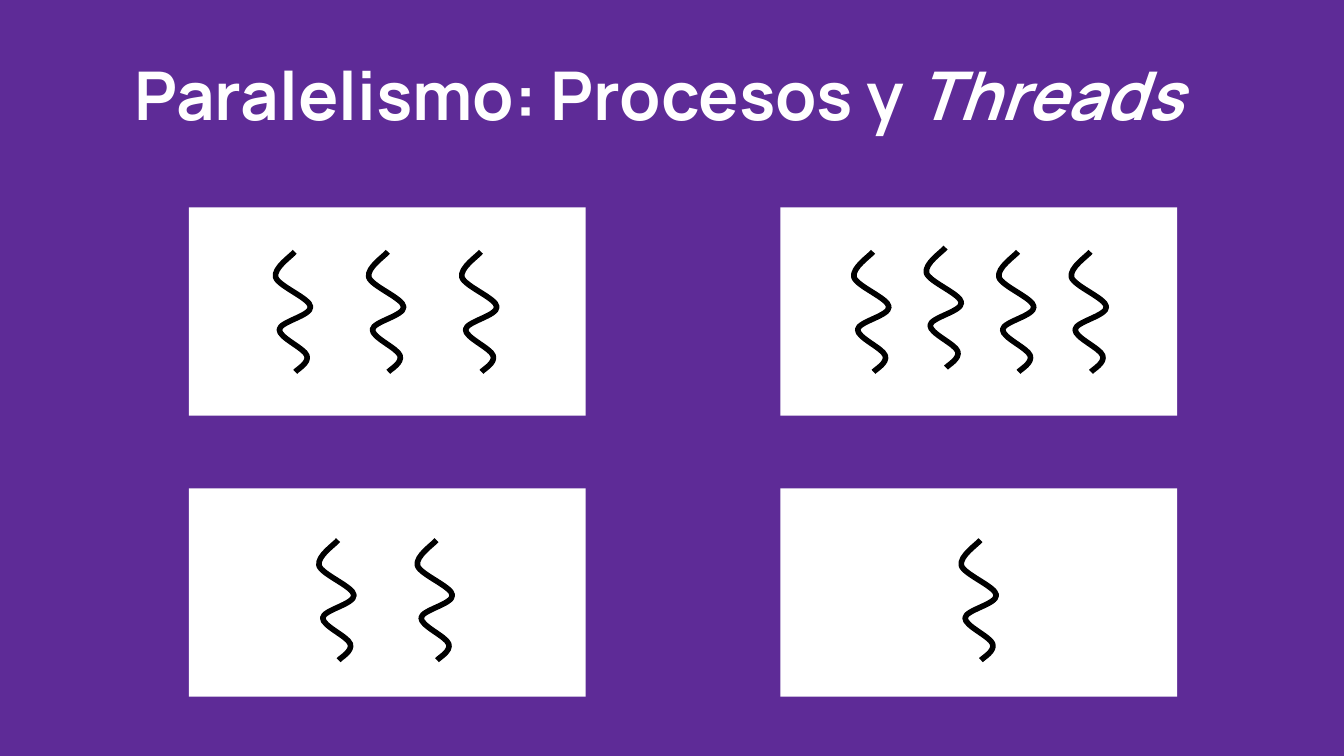
from dataclasses import dataclass

from lxml import etree
from pptx import Presentation
from pptx.dml.color import RGBColor
from pptx.enum.shapes import MSO_SHAPE
from pptx.enum.text import MSO_ANCHOR
from pptx.oxml.ns import qn
from pptx.slide import Slide
from pptx.util import Cm, Pt

RECTANGLE = MSO_SHAPE.RECTANGLE
MIDDLE = MSO_ANCHOR.MIDDLE
PURPLE = RGBColor(0x5E, 0x2B, 0x97)
WHITE = RGBColor(0xFF, 0xFF, 0xFF)
BLACK = RGBColor(0x00, 0x00, 0x00)

Point = tuple[int, int]

PROCESS_WIDTH, PROCESS_HEIGHT = 7.5, 3.94
LEFT_COLUMN, RIGHT_COLUMN = 3.57, 14.75
TOP_ROW, BOTTOM_ROW = 3.92, 9.23
TOP_THREADS, BOTTOM_THREADS = 4.76, 10.21
RAISE = 0.08
THREAD_UNIT = Cm(0.01)


@dataclass(frozen=True)
class Bend:
    """One cubic curve of a thread, in thread units from its upper end."""

    control_1: Point
    control_2: Point
    end: Point


@dataclass(frozen=True)
class Process:
    """A process box and the row of threads inside it, in centimetres."""

    left: float
    top: float
    first_thread: float
    thread_top: float
    thread_count: int
    thread_gap: float = 0
    raised_thread: int | None = None


THREAD_BENDS = [
    Bend((-6, 8), (-40, 30), (-36, 48)),
    Bend((-31, 65), (29, 88), (30, 104)),
    Bend((31, 121), (-28, 132), (-29, 147)),
    Bend((-30, 162), (18, 182), (23, 196)),
    Bend((28, 210), (5, 222), (1, 227)),
]
PROCESSES = [
    Process(LEFT_COLUMN, TOP_ROW, 5.57, TOP_THREADS, 3, 1.76),
    Process(RIGHT_COLUMN, TOP_ROW, 16.5, TOP_THREADS, 4, 1.37, raised_thread=1),
    Process(LEFT_COLUMN, BOTTOM_ROW, 6.39, BOTTOM_THREADS, 2, 1.86),
    Process(RIGHT_COLUMN, BOTTOM_ROW, 18.53, BOTTOM_THREADS, 1),
]


def draw_thread(slide: Slide, left: float, top: float) -> None:
    """Draw one wavy thread from its upper end."""
    builder = slide.shapes.build_freeform(0, 0, scale=THREAD_UNIT)
    builder.add_line_segments([bend.end for bend in THREAD_BENDS], close=False)
    thread = builder.convert_to_shape(Cm(left), Cm(top))
    leftmost = min(bend.end[0] for bend in THREAD_BENDS)
    segments = list(thread.element.iter(qn("a:lnTo")))
    for segment, bend in zip(segments, THREAD_BENDS):
        segment.tag = qn("a:cubicBezTo")
        for position, (x, y) in enumerate((bend.control_1, bend.control_2)):
            control = etree.Element(qn("a:pt"), x=str(x - leftmost), y=str(y))
            segment.insert(position, control)
    thread.shadow.inherit = False
    thread.fill.background()
    thread.line.color.rgb = BLACK
    thread.line.width = Pt(3)


def draw_process(slide: Slide, process: Process) -> None:
    """Draw a process box with its threads."""
    box = slide.shapes.add_shape(
        RECTANGLE, Cm(process.left), Cm(process.top), Cm(PROCESS_WIDTH), Cm(PROCESS_HEIGHT)
    )
    box.shadow.inherit = False
    box.fill.solid()
    box.fill.fore_color.rgb = WHITE
    box.line.fill.background()
    for index in range(process.thread_count):
        lift = RAISE if index == process.raised_thread else 0
        left = process.first_thread + index * process.thread_gap
        draw_thread(slide, left, process.thread_top - lift)


def draw_title(slide: Slide) -> None:
    """Write the slide title."""
    title = slide.shapes.add_textbox(Cm(2.29), Cm(0.99), Cm(20.8), Cm(1.57))
    frame = title.text_frame
    frame.word_wrap = True
    frame.vertical_anchor = MIDDLE
    frame.margin_left = frame.margin_right = Cm(0.25)
    frame.margin_top = frame.margin_bottom = Cm(0.25)
    heading = frame.paragraphs[0]
    heading.font.name = "Manrope"
    heading.font.size = Pt(36)
    heading.font.bold = True
    heading.font.color.rgb = WHITE
    heading.add_run().text = "Paralelismo: Procesos y "
    threads_word = heading.add_run()
    threads_word.text = "Threads"
    threads_word.font.italic = True


def main() -> None:
    """Build the slide and save it."""
    presentation = Presentation()
    presentation.slide_width = Cm(25.4)
    presentation.slide_height = Cm(14.29)
    slide = presentation.slides.add_slide(presentation.slide_layouts[6])
    slide.background.fill.solid()
    slide.background.fill.fore_color.rgb = PURPLE
    draw_title(slide)
    for process in PROCESSES:
        draw_process(slide, process)
    presentation.save("out.pptx")


if __name__ == "__main__":
    main()
